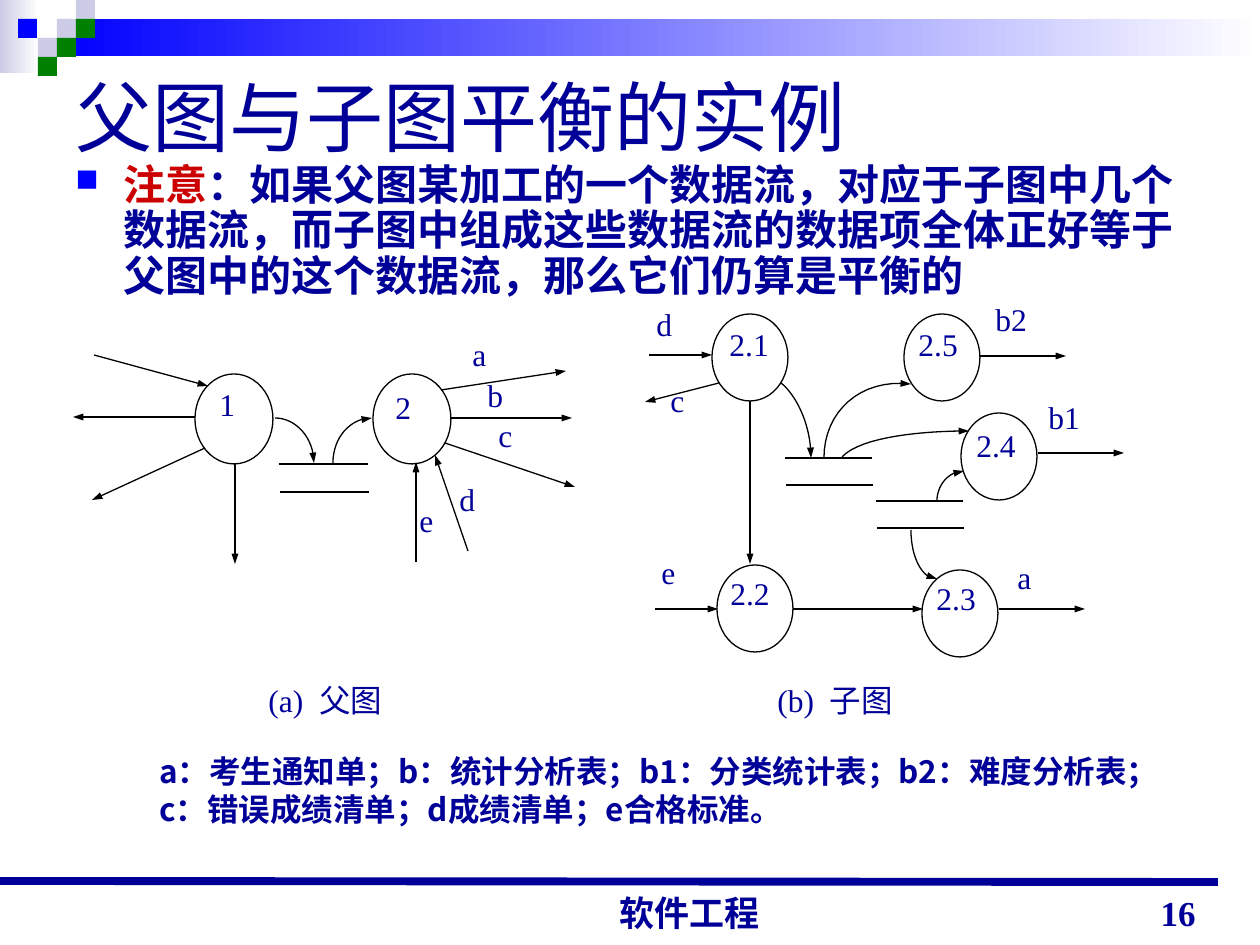
import pptx
import pptx.dml.color
import pptx.enum.shapes
import pptx.enum.text
import pptx.oxml
import pptx.oxml.ns
import pptx.util

SCALE = 914400 / 126  # EMU in one px
COLORS = {"navy": "000099", "blue": "0000FF", "green": "008000", "lilac": "CCCCE6",
          "red": "CC0000", "black": "000000", "white": "FFFFFF"}
RGB = {name: pptx.dml.color.RGBColor.from_string(value) for name, value in COLORS.items()}
SERIF, SANS = "Times New Roman", "Noto Sans CJK SC"
ALIGN = pptx.enum.text.PP_ALIGN
ANCHOR = pptx.enum.text.MSO_ANCHOR
SHAPES = pptx.enum.shapes.MSO_SHAPE
qn = pptx.oxml.ns.qn

presentation = pptx.Presentation()
presentation.slide_width = round(1260 * SCALE)
presentation.slide_height = round(945 * SCALE)
slide = presentation.slides.add_slide(presentation.slide_layouts[6])


def add_text(box, paragraphs, size=18, bold=False, align=ALIGN.JUSTIFY,
             anchor=ANCHOR.TOP, font=SERIF):
    """Each paragraph is a list of (text, color) runs; box is in px."""
    shape = slide.shapes.add_textbox(*[round(value * SCALE) for value in box])
    frame = shape.text_frame
    frame.word_wrap = True
    frame.vertical_anchor = anchor
    for index, runs in enumerate(paragraphs):
        paragraph = frame.paragraphs[0] if index == 0 else frame.add_paragraph()
        paragraph.alignment = align
        for text, color in runs:
            run = paragraph.add_run()
            run.text = text
            font_format = {"size": pptx.util.Pt(size), "bold": bold, "name": font}
            for name, value in font_format.items():
                setattr(run.font, name, value)
            run.font.color.rgb = RGB[color]
            east_asian = pptx.oxml.parse_xml(
                f'<a:ea {pptx.oxml.ns.nsdecls("a")} typeface="{SANS}"/>')
            run.font._element.find(qn("a:latin")).addnext(east_asian)
    return frame


def add_line(points, arrow=True, color="black", width=0.75):
    """Two points give a straight line, four a Bezier curve; the arrow is at the last."""
    points = [(x * SCALE, y * SCALE) for x, y in points]
    if len(points) == 2:
        ends = [round(value) for point in points for value in point]
        shape = slide.shapes.add_connector(pptx.enum.shapes.MSO_CONNECTOR.STRAIGHT, *ends)
    else:
        steps = 16
        curve = []
        for step in range(steps + 1):
            t = step / steps
            weights = ((1 - t) ** 3, 3 * t * (1 - t) ** 2, 3 * t * t * (1 - t), t ** 3)
            curve.append(tuple(round(sum(weight * point[axis] for weight, point
                                         in zip(weights, points))) for axis in (0, 1)))
        builder = slide.shapes.build_freeform(*curve[0])
        builder.add_line_segments(curve[1:], close=False)
        shape = builder.convert_to_shape()
        shape.fill.background()
    shape.line.color.rgb = RGB[color]
    shape.line.width = pptx.util.Pt(width)
    properties = shape._element.spPr
    if arrow:
        tail = pptx.oxml.parse_xml(f'<a:tailEnd {pptx.oxml.ns.nsdecls("a")} '
                                   'type="triangle" w="sm" len="med"/>')
        properties.find(qn("a:ln")).append(tail)
    properties.append(pptx.oxml.parse_xml(f'<a:effectLst {pptx.oxml.ns.nsdecls("a")}/>'))


# Header: two gradient bands, then a checkered pattern of squares
bands = [((0, 0, 39, 73), "lilac"), ((57, 19, 1203, 37), "blue")]
squares = [(57, 19, "lilac"), (76, 0, "lilac"), (76, 19, "green"), (38, 38, "lilac"),
           (18, 19, "blue"), (57, 38, "green"), (38, 57, "green")]
header = bands + [((x, y, 19, 19), color) for x, y, color in squares]
for index, (box, color) in enumerate(header):
    shape = slide.shapes.add_shape(SHAPES.RECTANGLE, *[round(value * SCALE) for value in box])
    shape.shadow.inherit = False
    shape.line.fill.background()
    if index < len(bands):
        shape.fill.gradient()
        shape.fill.gradient_angle = 180
        for stop, position, name in zip(shape.fill.gradient_stops, (0, 1), ("white", color)):
            stop.position = position
            stop.color.rgb = RGB[name]
    else:
        shape.fill.solid()
        shape.fill.fore_color.rgb = RGB[color]

add_line([(0, 881), (1218, 882)], arrow=False, color="navy", width=4.5)

# Title and bullet
add_text((63, 63, 1134, 105), [[("父图与子图平衡的实例", "navy")]], size=44,
         align=ALIGN.LEFT, anchor=ANCHOR.MIDDLE)
note = "：如果父图某加工的一个数据流，对应于子图中几个数据流，而子图中组成这些数据流的数据项全体正好等于父图中的这个数据流，那么它们仍算是平衡的"
body = add_text((63, 158, 1134, 180), [[("注意", "red"), (note, "navy")]], size=24,
                bold=True, align=ALIGN.LEFT)
bullet = body.paragraphs[0]
bullet.line_spacing = 0.9
bullet.space_before = pptx.util.Pt(6)
bullet_properties = bullet._p.get_or_add_pPr()
bullet_properties.set("marL", str(round(48 * SCALE)))
bullet_properties.set("indent", str(round(-48 * SCALE)))
for element in (f'buClr {{}}><a:srgbClr val="{COLORS["blue"]}"/></a:buClr>',
                'buSzPct {} val="75000"/>', 'buChar {} char="■"/>'):
    bullet_properties.append(pptx.oxml.parse_xml(
        "<a:" + element.format(pptx.oxml.ns.nsdecls("a"))))

# Processes: left, top, width, height
parent_processes = [(195, 374, 78, 90), (373, 374, 78, 90)]
child_processes = [(x, y, 76, 87) for x, y in
                   [(712, 314), (904, 314), (961, 413), (922, 570), (717, 565)]]
for box in parent_processes + child_processes:
    shape = slide.shapes.add_shape(SHAPES.OVAL, *[round(value * SCALE) for value in box])
    shape.shadow.inherit = False
    shape.fill.background()
    shape.line.color.rgb = RGB["black"]
    shape.line.width = pptx.util.Pt(0.75)

# Data stores: two parallel lines, the lower one shifted by 1 px
for left, top, width, gap in [(279, 464, 89, 28), (785, 458, 87, 27), (876, 501, 87, 27)]:
    for shift, y in ((0, top), (1, top + gap)):
        add_line([(left + shift, y), (left + shift + width, y)], arrow=False)

# Data flows
parent_flows = [
    [(94, 355), (208, 386)], [(195, 417), (73, 417)], [(205, 448), (92, 500)],
    [(235, 464), (235, 564)], [(416, 562), (416, 462)], [(468, 551), (435, 455)],
    [(441, 390), (566, 371)], [(450, 418), (572, 418)], [(445, 443), (575, 487)],
    [(275, 418), (296, 418), (314, 438), (314, 463)],
    [(333, 463), (333, 438), (350, 418), (372, 418)],
]
child_flows = [
    [(649, 355), (712, 355)], [(719, 383), (645, 402)], [(750, 401), (750, 564)],
    [(980, 356), (1066, 356)], [(1038, 453), (1124, 453)], [(655, 609), (718, 609)],
    [(793, 609), (923, 609)], [(999, 609), (1085, 609)],
    [(781, 383), (795, 394), (811, 423), (811, 458)],
    [(824, 458), (824, 436), (834, 415), (850, 401), (911, 384)],
    [(842, 457), (862, 436), (926, 431), (969, 431)],
    [(937, 501), (937, 485), (949, 471), (964, 471)],
    [(911, 530), (911, 557), (922, 579), (937, 579)],
]
child_flows[9] = [(824, 458), (824, 436), (834, 415), (850, 401)][:1] + [
    (824, 412), (860, 378), (911, 384)]
for flow in parent_flows + child_flows:
    add_line(flow)

# Labels of processes and flows
labels = [("1", 207, 379), ("2", 383, 382), ("a", 460, 329), ("b", 475, 370),
          ("c", 486, 410), ("d", 447, 474), ("e", 407, 495),
          ("2.1", 717, 319), ("2.2", 718, 568), ("2.3", 924, 573), ("2.4", 964, 420),
          ("2.5", 906, 319), ("a", 1005, 552), ("b1", 1036, 392), ("b2", 983, 294),
          ("c", 658, 375), ("d", 644, 299), ("e", 649, 547)]
for text, left, top in labels:
    add_text((left, top, 79, 76), [[(text, "navy")]])
for text, left in [("(a)  父图", 256), ("(b)  子图", 765)]:
    add_text((left, 675, 210, 81), [[(text, "navy")]])

# Legend and footer
legend = ["a：考生通知单；b：统计分析表；b1：分类统计表；b2：难度分析表；",
          "c：错误成绩清单；d成绩清单；e合格标准。"]
add_text((147, 746, 1061, 97), [[(line, "navy")] for line in legend], bold=True, font=SANS)
for text, box, align in [("软件工程", (475, 888, 399, 52), ALIGN.CENTER),
                         ("16", (914, 877, 294, 63), ALIGN.RIGHT)]:
    frame = add_text(box, [[(text, "navy")]], size=20, bold=True, align=align,
                     anchor=ANCHOR.BOTTOM)
    if align == ALIGN.CENTER:
        frame.paragraphs[0]._p.get_or_add_pPr().set("marL", str(round(30 * SCALE)))

presentation.save("out.pptx")
